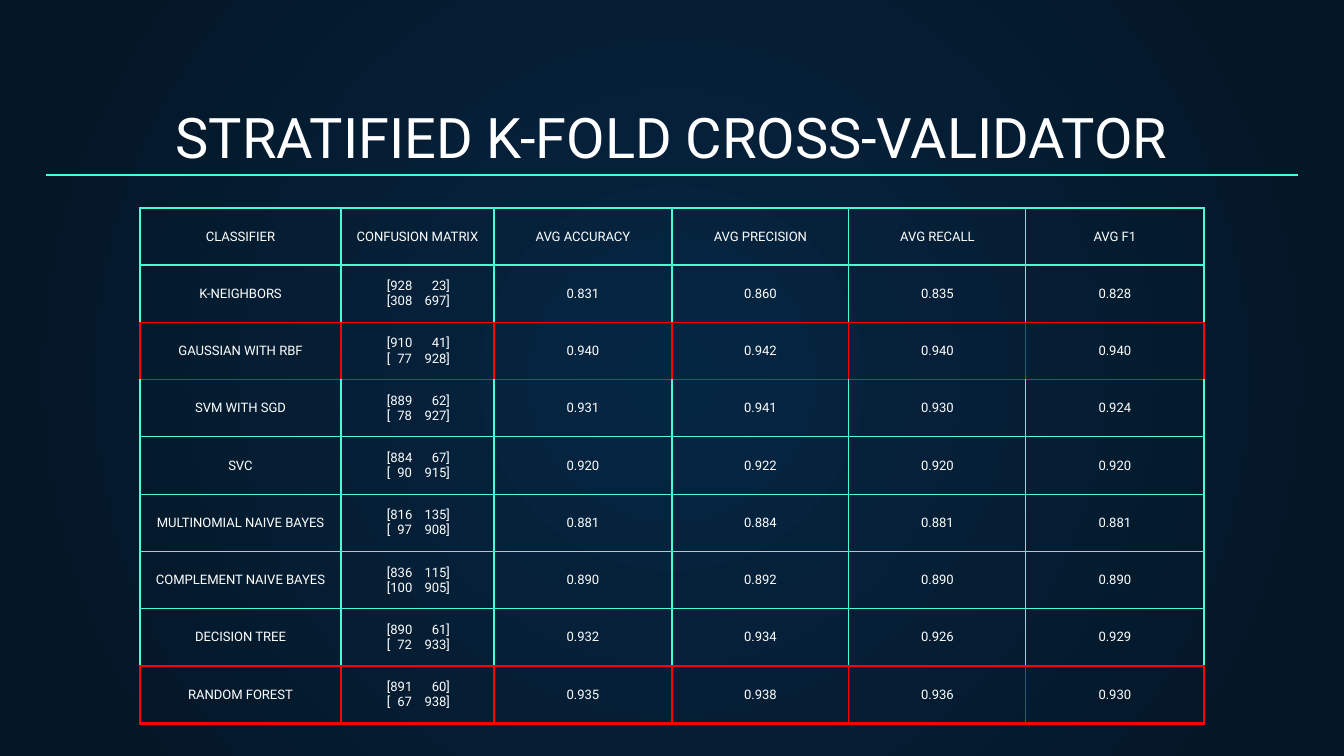
import dataclasses

import lxml.etree
import pptx
import pptx.dml.color
import pptx.enum.shapes
import pptx.enum.text
import pptx.oxml.ns
import pptx.util

EMU_PER_PX = 9144000 / 1344
INSET = 13
COLUMN_WIDTHS = (201, 153, 178, 177, 177, 178)
ROW_HEIGHT = 57
MATRIX_COLUMN = 1
MATRIX_INSET = 46
MATRIX_STOPS = (25, 63)
HIGHLIGHTED_ROWS = (2, 8)

ROWS = (
    ("CLASSIFIER", "CONFUSION MATRIX", "AVG ACCURACY", "AVG PRECISION", "AVG RECALL", "AVG F1"),
    ("K-NEIGHBORS", "[928\t23]\n[308\t697]", "0.831", "0.860", "0.835", "0.828"),
    ("GAUSSIAN WITH RBF", "[910\t41]\n[\t77\t928]", "0.940", "0.942", "0.940", "0.940"),
    ("SVM WITH SGD", "[889\t62]\n[\t78\t927]", "0.931", "0.941", "0.930", "0.924"),
    ("SVC", "[884\t67]\n[\t90\t915]", "0.920", "0.922", "0.920", "0.920"),
    ("MULTINOMIAL NAIVE BAYES", "[816\t135]\n[\t97\t908]", "0.881", "0.884", "0.881", "0.881"),
    ("COMPLEMENT NAIVE BAYES", "[836\t115]\n[100\t905]", "0.890", "0.892", "0.890", "0.890"),
    ("DECISION TREE", "[890\t61]\n[\t72\t933]", "0.932", "0.934", "0.926", "0.929"),
    ("RANDOM FOREST", "[891\t60]\n[\t67\t938]", "0.935", "0.938", "0.936", "0.930"),
)


@dataclasses.dataclass(frozen=True)
class Theme:
    """Colours, font, type sizes and line widths of the slide."""

    font: str = "Roboto"
    title_size: int = 30
    cell_size: int = 7
    thin: float = 0.75
    thick: float = 1.5
    text: str = "FFFFFF"
    accent: str = "48FFD5"
    highlight: str = "FF0000"
    centre: str = "052643"
    edge: str = "041523"


THEME = Theme()


def px(length):
    """Turn whole pixels into EMU."""
    return pptx.util.Emu(round(length * EMU_PER_PX))


def rgb(value):
    """Turn a hex string into a colour."""
    return pptx.dml.color.RGBColor.from_string(value)


def add_element(parent, tag, **attributes):
    """Append a DrawingML element with the given attributes."""
    return lxml.etree.SubElement(parent, pptx.oxml.ns.qn(tag), **attributes)


def set_insets(target):
    """Give a text frame or cell equal margins."""
    target.margin_left = target.margin_right = px(INSET)
    target.margin_top = target.margin_bottom = px(INSET)


def format_text(frame, size):
    """Centre every paragraph and set the font of its runs."""
    for para in frame.paragraphs:
        para.alignment = pptx.enum.text.PP_ALIGN.CENTER
        for span in para.runs:
            span.font.name = THEME.font
            span.font.size = pptx.util.Pt(size)
            span.font.color.rgb = rgb(THEME.text)


def paint_background(page):
    """Fill the page with a gradient that spreads from its centre."""
    fill = page.background.fill
    fill.gradient()
    for stop, colour in zip(fill.gradient_stops, (THEME.centre, THEME.edge)):
        stop.color.rgb = rgb(colour)
    linear = next(page.element.iter(pptx.oxml.ns.qn("a:lin")))
    gradient = linear.getparent()
    gradient.remove(linear)
    circle = add_element(gradient, "a:path", path="circle")
    add_element(circle, "a:fillToRect", l="50000", t="50000", r="50000", b="50000")


def add_title(page, text, left, top, width, height):
    """Add the title, resting on the bottom of its box."""
    box = page.shapes.add_textbox(px(left), px(top), px(width), px(height))
    frame = box.text_frame
    frame.word_wrap = True
    frame.vertical_anchor = pptx.enum.text.MSO_ANCHOR.BOTTOM
    set_insets(frame)
    frame.text = text
    format_text(frame, THEME.title_size)


def add_rule(page, left, right, y):
    """Add a horizontal accent line."""
    rule = page.shapes.add_connector(
        pptx.enum.shapes.MSO_CONNECTOR.STRAIGHT, px(left), px(y), px(right), px(y))
    rule.line.color.rgb = rgb(THEME.accent)
    rule.line.width = pptx.util.Pt(THEME.thin)
    add_element(rule.element.spPr, "a:effectLst")


def add_border(cell, tag, highlighted, thick):
    """Draw one side of a cell."""
    width = pptx.util.Pt(THEME.thick if thick else THEME.thin)
    line = add_element(cell._tc.get_or_add_tcPr(), tag, w=str(width))
    fill = add_element(line, "a:solidFill")
    add_element(fill, "a:srgbClr", val=THEME.highlight if highlighted else THEME.accent)


def add_borders(cell, row, column):
    """Draw all sides of a cell, red around highlighted rows."""
    highlighted = row in HIGHLIGHTED_ROWS
    for tag, edge in (("a:lnL", column), ("a:lnR", column + 1)):
        add_border(cell, tag, highlighted, edge in (0, len(COLUMN_WIDTHS)))
    for tag, edge in (("a:lnT", row), ("a:lnB", row + 1)):
        touches = edge in HIGHLIGHTED_ROWS or edge - 1 in HIGHLIGHTED_ROWS
        add_border(cell, tag, touches, edge in (0, 1, len(ROWS)))


def align_matrix(cell):
    """Line up the matrix numbers on right tab stops."""
    cell.margin_left = px(MATRIX_INSET)
    for para in cell.text_frame.paragraphs:
        para.alignment = pptx.enum.text.PP_ALIGN.LEFT
        tabs = add_element(para._p.get_or_add_pPr(), "a:tabLst")
        for stop in MATRIX_STOPS[-para.text.count("\t"):]:
            add_element(tabs, "a:tab", pos=str(px(stop)), algn="r")


def fill_cell(cell, text, row, column):
    """Write, format and outline one cell."""
    cell.text_frame.text = text
    cell.vertical_anchor = pptx.enum.text.MSO_ANCHOR.MIDDLE
    set_insets(cell)
    format_text(cell.text_frame, THEME.cell_size)
    if column == MATRIX_COLUMN and row > 0:
        align_matrix(cell)
    add_borders(cell, row, column)
    cell.fill.background()


def add_score_table(page, left, top):
    """Add the table of classifier scores."""
    frame = page.shapes.add_table(
        len(ROWS), len(COLUMN_WIDTHS), px(left), px(top),
        px(sum(COLUMN_WIDTHS)), px(ROW_HEIGHT * len(ROWS)))
    table = frame.table
    table.first_row = table.horz_banding = False
    for column, width in zip(table.columns, COLUMN_WIDTHS):
        column.width = px(width)
    for row, texts in enumerate(ROWS):
        table.rows[row].height = px(ROW_HEIGHT)
        for column, text in enumerate(texts):
            fill_cell(table.cell(row, column), text, row, column)


def main():
    """Build the slide and save it."""
    deck = pptx.Presentation()
    deck.slide_width, deck.slide_height = px(1344), px(756)
    page = deck.slides.add_slide(deck.slide_layouts[6])
    paint_background(page)
    add_title(page, "STRATIFIED K-FOLD CROSS-VALIDATOR", 46, 94, 1252, 89)
    add_rule(page, 46, 1298, 175)
    add_score_table(page, 140, 208)
    deck.save("out.pptx")


if __name__ == "__main__":
    main()
